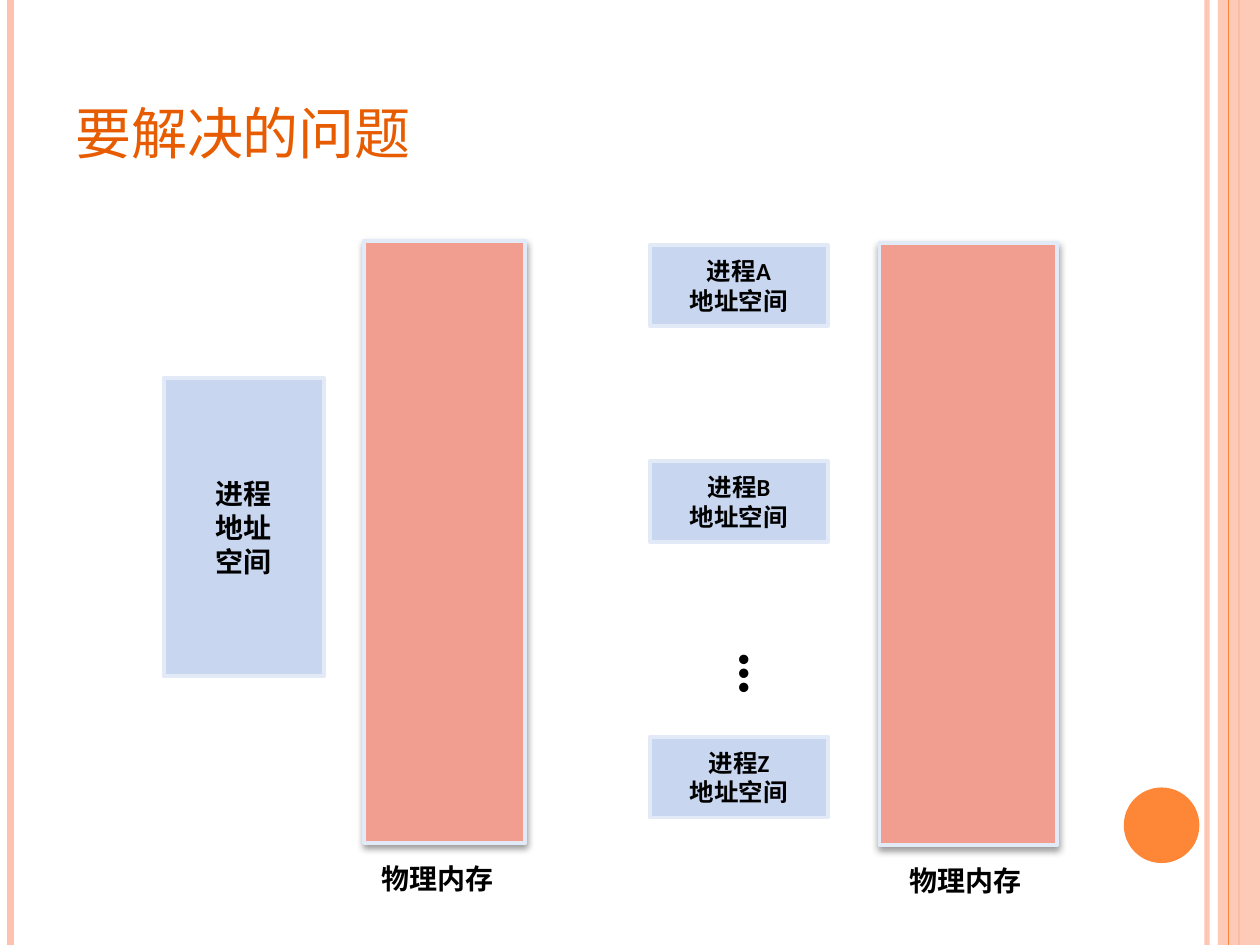
from dataclasses import dataclass

from lxml.etree import SubElement
from pptx import Presentation
from pptx.dml.color import RGBColor
from pptx.enum.shapes import MSO_CONNECTOR, MSO_SHAPE
from pptx.enum.text import MSO_ANCHOR, PP_ALIGN
from pptx.oxml.ns import qn
from pptx.util import Pt


@dataclass(frozen=True)
class Theme:
    latin: str = "Calibri"
    chinese: str = "Noto Sans CJK SC"
    title: str = "E75C01"
    text: str = "000000"
    accent: str = "FE8637"
    pale: str = "FEC3AE"
    memory: str = "F19E91"
    process: str = "C8D6F0"
    outline: str = "E3EAF7"
    title_size: float = 40
    dots_size: float = 36
    label_size: float = 16
    process_size: float = 14
    outline_width: float = 2.25


@dataclass(frozen=True)
class Box:
    left: float
    top: float
    width: float
    height: float


@dataclass(frozen=True)
class Stripe:
    x: float
    color: str
    weight: float
    opacity: int = 100


@dataclass(frozen=True)
class Process:
    box: Box
    lines: tuple[str, ...]
    size: float
    font: str


@dataclass(frozen=True)
class Memory:
    box: Box
    label: Box


THEME = Theme()
WIDTH, HEIGHT = 720, 540

BACK_STRIPES = (
    Stripe(689.8, THEME.pale, 3, 93),
    Stripe(6, THEME.pale, 4.5),
    Stripe(708, THEME.accent, 1.5),
)
FRONT_STRIPE = Stripe(702, THEME.accent, 0.75)
SIDE_BAND = Box(696, 0, 24, HEIGHT)
CIRCLE = Box(642.2, 450, 43.2, 43.2)
TITLE = Box(36, 21.6, 588, 78.5)
DOTS = Box(403.9, 365, 58.3, 59)

MEMORIES = (
    Memory(Box(208, 137.6, 92.2, 344), Box(211, 488.9, 79.2, 26.6)),
    Memory(Box(502.6, 138.8, 101.6, 344), Box(512.6, 490.1, 79.2, 26.6)),
)
PROCESSES = (
    Process(Box(93.6, 216, 91.4, 170.6), ("进程", "地址", "空间"),
            THEME.label_size, THEME.chinese),
    *(
        Process(Box(371.6, top, 101.4, 46.2), (f"进程{name}", "地址空间"),
                THEME.process_size, THEME.latin)
        for name, top in (("A", 140.1), ("B", 263.5), ("Z", 421))
    ),
)


def set_opacity(properties, percent: int) -> None:
    color = next(properties.iter(qn("a:srgbClr")))
    SubElement(color, qn("a:alpha"), val=str(percent * 1000))


def add_stripe(slide, stripe: Stripe) -> None:
    line = slide.shapes.add_connector(
        MSO_CONNECTOR.STRAIGHT, Pt(stripe.x), Pt(0), Pt(stripe.x), Pt(HEIGHT))
    line.line.color.rgb = RGBColor.from_string(stripe.color)
    line.line.width = Pt(stripe.weight)
    properties = line._element.spPr
    if stripe.opacity < 100:
        set_opacity(properties, stripe.opacity)
    SubElement(properties, qn("a:effectLst"))


def add_plain_shape(slide, box: Box, fill: str, outline: str | None = None,
                    kind: MSO_SHAPE = MSO_SHAPE.RECTANGLE):
    shape = slide.shapes.add_shape(
        kind, Pt(box.left), Pt(box.top), Pt(box.width), Pt(box.height))
    shape.shadow.inherit = False
    shape.fill.solid()
    shape.fill.fore_color.rgb = RGBColor.from_string(fill)
    if outline:
        shape.line.color.rgb = RGBColor.from_string(outline)
        shape.line.width = Pt(THEME.outline_width)
    else:
        shape.line.fill.background()
    return shape


def write_lines(frame, lines: tuple[str, ...], size: float, font: str,
                color: str = THEME.text, bold: bool = True,
                align: PP_ALIGN = PP_ALIGN.LEFT, small_caps: bool = False) -> None:
    for index, line in enumerate(lines):
        paragraph = frame.add_paragraph() if index else frame.paragraphs[0]
        paragraph.text = line
        paragraph.alignment = align
        paragraph.font.size = Pt(size)
        paragraph.font.bold = bold
        paragraph.font.color.rgb = RGBColor.from_string(color)
        paragraph.font.name = font
        defaults = paragraph._p.pPr.find(qn("a:defRPr"))
        SubElement(defaults, qn("a:ea"), typeface=THEME.chinese)
        if small_caps:
            defaults.set("cap", "small")


def add_text(slide, box: Box, text: str, size: float, font: str,
             wrap: bool = False, **style):
    shape = slide.shapes.add_textbox(
        Pt(box.left), Pt(box.top), Pt(box.width), Pt(box.height))
    shape.text_frame.word_wrap = wrap
    write_lines(shape.text_frame, (text,), size, font, **style)
    return shape.text_frame


def add_memory(slide, memory: Memory) -> None:
    shape = add_plain_shape(slide, memory.box, THEME.memory, THEME.outline)
    effects = shape._element.spPr.find(qn("a:effectLst"))
    shadow = SubElement(effects, qn("a:outerShdw"), blurRad=str(Pt(4)),
                        dist=str(Pt(2)), dir="5400000", rotWithShape="0")
    SubElement(shadow, qn("a:srgbClr"), val=THEME.text)
    set_opacity(shadow, 40)
    add_text(slide, memory.label, "物理内存", THEME.label_size, THEME.chinese)


def add_process(slide, process: Process) -> None:
    shape = add_plain_shape(slide, process.box, THEME.process, THEME.outline)
    shape.text_frame.vertical_anchor = MSO_ANCHOR.MIDDLE
    write_lines(shape.text_frame, process.lines, process.size, process.font,
                align=PP_ALIGN.CENTER)


def main() -> None:
    presentation = Presentation()
    presentation.slide_width, presentation.slide_height = Pt(WIDTH), Pt(HEIGHT)
    slide = presentation.slides.add_slide(presentation.slide_layouts[6])

    for stripe in BACK_STRIPES:
        add_stripe(slide, stripe)
    band = add_plain_shape(slide, SIDE_BAND, THEME.pale)
    set_opacity(band._element.spPr, 87)
    add_stripe(slide, FRONT_STRIPE)
    add_plain_shape(slide, CIRCLE, THEME.accent, kind=MSO_SHAPE.OVAL)

    title = add_text(slide, TITLE, "要解决的问题", THEME.title_size, THEME.chinese,
                     wrap=True, color=THEME.title, bold=False, small_caps=True)
    title.vertical_anchor = MSO_ANCHOR.BOTTOM

    for memory in MEMORIES:
        add_memory(slide, memory)
    for process in PROCESSES:
        add_process(slide, process)

    dots = add_text(slide, DOTS, "…", THEME.dots_size, THEME.latin, wrap=True)
    dots._txBody.bodyPr.set("vert", "eaVert")

    presentation.save("out.pptx")


if __name__ == "__main__":
    main()
